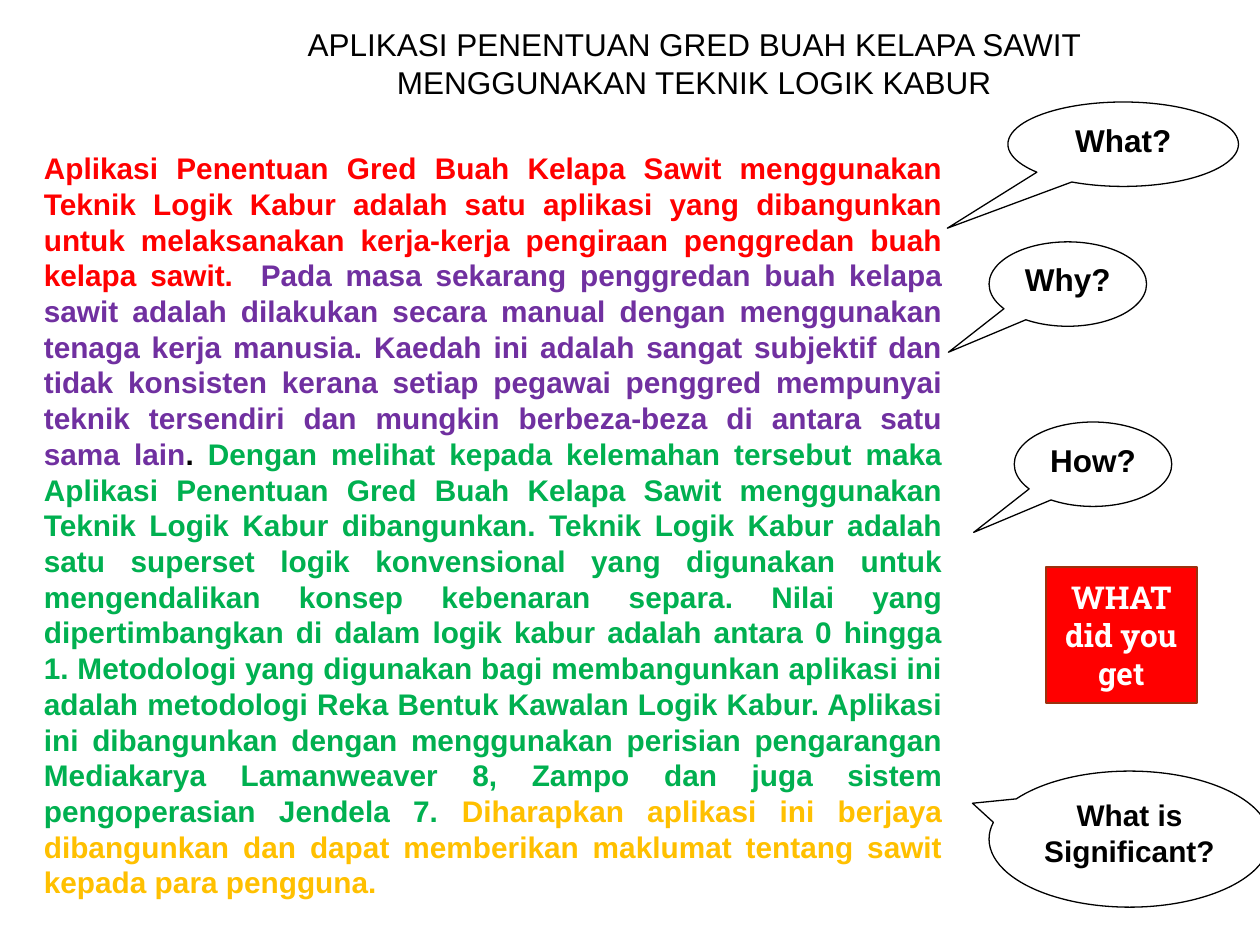
import pptx
import pptx.util
import pptx.dml.color
import pptx.enum.shapes
import pptx.enum.text

Pt = pptx.util.Pt
RGBColor = pptx.dml.color.RGBColor
SHAPE = pptx.enum.shapes.MSO_SHAPE
ALIGN = pptx.enum.text.PP_ALIGN
ANCHOR = pptx.enum.text.MSO_ANCHOR

BLACK = RGBColor(0x00, 0x00, 0x00)
WHITE = RGBColor(0xFF, 0xFF, 0xFF)
RED = RGBColor(0xFF, 0x00, 0x00)
PURPLE = RGBColor(0x70, 0x30, 0xA0)
GREEN = RGBColor(0x00, 0xB0, 0x50)
AMBER = RGBColor(0xFF, 0xC0, 0x00)
BROWN = RGBColor(0x9B, 0x32, 0x0E)

TITLE = "APLIKASI PENENTUAN GRED BUAH KELAPA SAWIT MENGGUNAKAN TEKNIK LOGIK KABUR"
ABSTRACT = [
    ("Aplikasi Penentuan Gred Buah Kelapa Sawit menggunakan Teknik Logik Kabur "
     "adalah satu aplikasi yang dibangunkan untuk melaksanakan kerja-kerja "
     "pengiraan penggredan buah kelapa sawit.  ", RED),
    ("Pada masa sekarang penggredan buah kelapa sawit adalah dilakukan secara "
     "manual dengan menggunakan tenaga kerja manusia. Kaedah ini adalah sangat "
     "subjektif dan tidak konsisten kerana setiap pegawai penggred mempunyai "
     "teknik tersendiri dan mungkin berbeza-beza di antara satu sama lain", PURPLE),
    (". ", BLACK),
    ("Dengan melihat kepada kelemahan tersebut maka Aplikasi Penentuan Gred Buah "
     "Kelapa Sawit menggunakan Teknik Logik Kabur dibangunkan. Teknik Logik Kabur "
     "adalah satu superset logik konvensional yang digunakan untuk mengendalikan "
     "konsep kebenaran separa. Nilai yang dipertimbangkan di dalam logik kabur "
     "adalah antara 0 hingga 1. Metodologi yang digunakan bagi membangunkan "
     "aplikasi ini adalah metodologi Reka Bentuk Kawalan Logik Kabur. Aplikasi ini "
     "dibangunkan dengan menggunakan perisian pengarangan Mediakarya Lamanweaver 8, "
     "Zampo dan juga sistem pengoperasian Jendela 7. ", GREEN),
    ("Diharapkan aplikasi ini berjaya dibangunkan dan dapat memberikan maklumat "
     "tentang sawit kepada para pengguna. ", AMBER),
]

# Question, box (left, top, width, height), tail tip, text size
SMALL_TAIL = (-0.758, 0.807)
QUESTIONS = [
    ("What is Significant?", (565.2, 440.64, 160.56, 77.76), (-0.559, -0.264), 17),
    ("What?", (576, 58.32, 131.76, 48.24), (-0.763, 0.995), 18),
    ("Why?", (565.2, 138.24, 90, 48.24), SMALL_TAIL, 18),
    ("How?", (579.6, 241.2, 90, 48.24), SMALL_TAIL, 18),
]


def write(frame, runs, size, align, bold=True, font="Arial", anchor=ANCHOR.TOP):
    """Fill a text frame with one paragraph of (text, colour) runs."""
    frame.word_wrap = True
    frame.vertical_anchor = anchor
    paragraph = frame.paragraphs[0]
    paragraph.alignment = align
    for text, colour in runs:
        run = paragraph.add_run()
        run.text = text
        for name, value in {"name": font, "size": Pt(size), "bold": bold}.items():
            setattr(run.font, name, value)
        run.font.color.rgb = colour


def outlined_shape(slide, kind, box, line_colour, line_width):
    shape = slide.shapes.add_shape(kind, *map(Pt, box))
    shape.shadow.inherit = False
    shape.line.color.rgb = line_colour
    shape.line.width = Pt(line_width)
    return shape


def add_title(slide, box):
    title = slide.shapes.add_textbox(*map(Pt, box))
    write(title.text_frame, [(TITLE, BLACK)], 18, ALIGN.CENTER, bold=False)


def add_abstract(slide, box):
    abstract = slide.shapes.add_textbox(*map(Pt, box))
    write(abstract.text_frame, ABSTRACT, 17, ALIGN.JUSTIFY)


def add_question(slide, question, box, tail, size):
    callout = outlined_shape(slide, SHAPE.OVAL_CALLOUT, box, BLACK, 0.75)
    callout.fill.background()
    for index, offset in enumerate(tail):
        callout.adjustments[index] = offset
    write(callout.text_frame, [(question, BLACK)], size, ALIGN.CENTER)


def add_result(slide, box):
    result = outlined_shape(slide, SHAPE.RECTANGLE, box, BROWN, 1)
    result.fill.solid()
    result.fill.fore_color.rgb = RED
    write(result.text_frame, [("WHAT did you get", WHITE)], 18, ALIGN.CENTER,
          font="Roboto Slab", anchor=ANCHOR.MIDDLE)


def main():
    deck = pptx.Presentation()
    deck.slide_width, deck.slide_height = Pt(720), Pt(540)
    slide = deck.slides.add_slide(deck.slide_layouts[6])
    add_abstract(slide, (18, 82.08, 527.76, 436.32))
    add_title(slide, (165.6, 10.8, 462.24, 50.4))
    for question in QUESTIONS:
        add_question(slide, *question)
    add_result(slide, (597.6, 324, 86.4, 77.76))
    deck.save("out.pptx")


if __name__ == "__main__":
    main()
